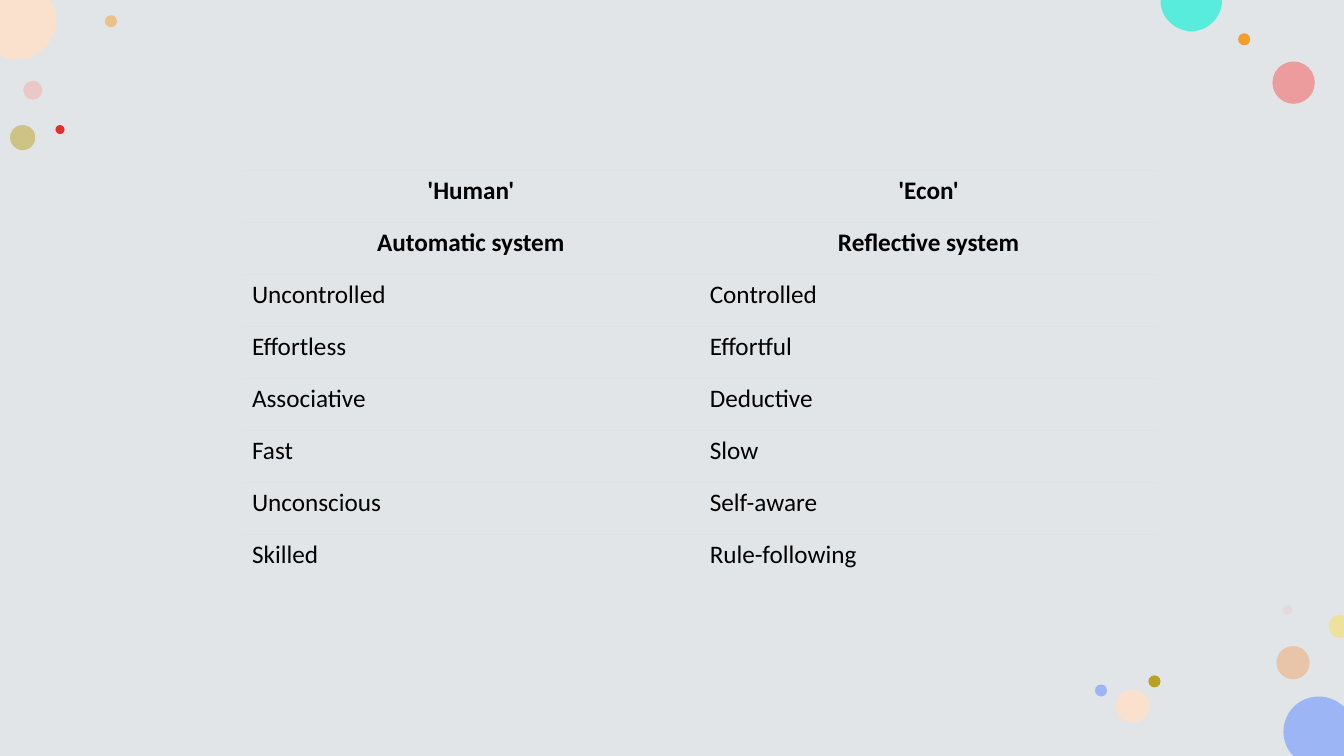
from dataclasses import dataclass

from lxml.etree import SubElement
from pptx import Presentation
from pptx.dml.color import RGBColor
from pptx.enum.shapes import MSO_SHAPE as Shape
from pptx.enum.text import MSO_ANCHOR as Anchor, PP_ALIGN as Align
from pptx.oxml.ns import qn
from pptx.util import Inches, Pt


@dataclass(frozen=True)
class Theme:
    backdrop: str = "E2E5E8"
    text: str = "000000"
    rule: str = "DEE2E6"
    peach: str = "FAE1CE"
    blush: str = "F5ABA9"
    coral: str = "F1817F"
    rose: str = "E3BEBE"
    red: str = "E72D29"
    orange: str = "F39E29"
    apricot: str = "EFA46B"
    olive: str = "B8A221"
    yellow: str = "EDE19C"
    teal: str = "58ECDD"
    blue: str = "9CB5F4"
    font: str = "Calibri"
    size: float = 18
    rule_width: float = 0.75


THEME = Theme()
PAGE_WIDTH, PAGE_HEIGHT = 13.33, 7.5
HEADER_ROWS = 2
SYSTEMS = [
    ("'Human'", "'Econ'"),
    ("Automatic system", "Reflective system"),
    ("Uncontrolled", "Controlled"),
    ("Effortless", "Effortful"),
    ("Associative", "Deductive"),
    ("Fast", "Slow"),
    ("Unconscious", "Self-aware"),
    ("Skilled", "Rule-following"),
]


def paint(shape, color, opacity=100):
    shape.shadow.inherit = False
    shape.line.fill.background()
    shape.fill.solid()
    shape.fill.fore_color.rgb = RGBColor.from_string(color)
    if opacity < 100:
        tone = shape.fill._xPr.find(qn("a:solidFill"))[0]
        SubElement(tone, qn("a:alpha"), val=str(opacity * 1000))


def add_backdrop(page, left, top, width, height):
    panel = page.shapes.add_shape(
        Shape.RECTANGLE, Inches(left), Inches(top), Inches(width), Inches(height))
    paint(panel, THEME.backdrop)


def add_circles(page, left, top, circles):
    for x, y, size, *look in circles:
        circle = page.shapes.add_shape(
            Shape.OVAL, Inches(left + x), Inches(top + y), Inches(size), Inches(size))
        paint(circle, *look)


def add_cut_circle(page, left, top, color, start, segments):
    points = [(Inches(left + x), Inches(top + y))
              for x, y in [start, *(point for part in segments for point in part)]]
    builder = page.shapes.build_freeform(*points[0])
    builder.add_line_segments(points[1:], close=True)
    shape = builder.convert_to_shape()
    steps = iter(list(shape._element.iter(qn("a:lnTo"))))
    for part in segments:
        lines = [next(steps) for _ in part]
        if len(part) == 3:
            curve = lines[0]
            outline = curve.getparent()
            bezier = SubElement(outline, qn("a:cubicBezTo"))
            outline.replace(curve, bezier)
            for line in lines:
                bezier.append(line[0])
            for line in lines[1:]:
                outline.remove(line)
    paint(shape, color)


def add_top_left_circles(page, left, top):
    add_circles(page, left, top, [
        (0.23, 0.8, 0.19, THEME.blush, 50),
        (1.04, 0.15, 0.12, THEME.orange, 50),
        (0.1, 1.24, 0.25, THEME.olive, 50),
        (0.55, 1.24, 0.09, THEME.red),
    ])
    add_cut_circle(page, left, top, THEME.peach, (0, 0), [
        [(0.5, 0)],
        [(0.53, 0.05)],
        [(0.55, 0.09), (0.56, 0.14), (0.56, 0.2)],
        [(0.56, 0.41), (0.38, 0.59), (0.17, 0.59)],
        [(0.11, 0.59), (0.06, 0.58), (0.02, 0.56)],
        [(0, 0.55)],
    ])


def add_top_right_circles(page, left, top):
    add_circles(page, left, top, [
        (1.12, 0.61, 0.42, THEME.coral, 72),
        (0.78, 0.33, 0.12, THEME.orange),
    ])
    add_cut_circle(page, left, top, THEME.teal, (0.02, 0), [
        [(0.62, 0)],
        [(0.62, 0.01)],
        [(0.62, 0.17), (0.48, 0.31), (0.32, 0.31)],
        [(0.15, 0.31), (0.01, 0.17), (0.01, 0.01)],
    ])


def add_bottom_right_circles(page, left, top):
    add_circles(page, left, top, [
        (1.86, 0.41, 0.33, THEME.apricot, 50),
        (1.92, 0, 0.1, THEME.rose, 28),
        (0.59, 0.7, 0.12, THEME.olive),
        (0.27, 0.84, 0.33, THEME.peach),
        (0.06, 0.79, 0.12, THEME.blue),
    ])
    add_cut_circle(page, left, top, THEME.blue, (2.28, 0.91), [
        [(2.38, 0.91), (2.46, 0.95), (2.53, 1.01)],
        [(2.53, 1.5)],
        [(2.03, 1.5)],
        [(2.01, 1.48)],
        [(1.96, 1.42), (1.93, 1.34), (1.93, 1.26)],
        [(1.93, 1.06), (2.09, 0.91), (2.28, 0.91)],
    ])
    add_cut_circle(page, left, top, THEME.yellow, (2.49, 0.1), [
        [(2.53, 0.11)],
        [(2.53, 0.32)],
        [(2.49, 0.33)],
        [(2.43, 0.33), (2.38, 0.28), (2.38, 0.21)],
        [(2.38, 0.15), (2.43, 0.1), (2.49, 0.1)],
    ])


def add_rules(cell, ruled_sides):
    props = cell._tc.get_or_add_tcPr()
    for position, side in enumerate(("lnL", "lnR", "lnT", "lnB")):
        line = SubElement(props, qn(f"a:{side}"), w=str(Pt(THEME.rule_width)))
        props.insert(position, line)
        if side in ruled_sides:
            fill = SubElement(line, qn("a:solidFill"))
            SubElement(fill, qn("a:srgbClr"), val=THEME.rule)
        else:
            SubElement(line, qn("a:noFill"))


def fill_cell(cell, text, header, last):
    cell.fill.background()
    cell.vertical_anchor = Anchor.TOP
    add_rules(cell, ("lnT",) if last else ("lnT", "lnB"))
    para = cell.text_frame.paragraphs[0]
    para.alignment = Align.CENTER if header else Align.LEFT
    span = para.add_run()
    span.text = text
    span.font.name = THEME.font
    span.font.size = Pt(THEME.size)
    span.font.bold = header
    span.font.color.rgb = RGBColor.from_string(THEME.text)


def add_systems_table(page, left, top, width, height):
    frame = page.shapes.add_table(
        len(SYSTEMS), len(SYSTEMS[0]),
        Inches(left), Inches(top), Inches(width), Inches(height))
    table = frame.table
    table.first_row = False
    table.horz_banding = False
    for row, texts in enumerate(SYSTEMS):
        for column, text in enumerate(texts):
            fill_cell(table.cell(row, column), text,
                      row < HEADER_ROWS, row == len(SYSTEMS) - 1)


def main():
    deck = Presentation()
    deck.slide_width = Inches(PAGE_WIDTH)
    deck.slide_height = Inches(PAGE_HEIGHT)
    page = deck.slides.add_slide(deck.slide_layouts[6])
    add_backdrop(page, 0, 0, PAGE_WIDTH, PAGE_HEIGHT)
    add_top_left_circles(page, 0, 0)
    add_top_right_circles(page, 11.5, 0)
    add_bottom_right_circles(page, 10.8, 6)
    add_systems_table(page, 2.4, 1.69, 9.08, 4.13)
    deck.save("out.pptx")


if __name__ == "__main__":
    main()
